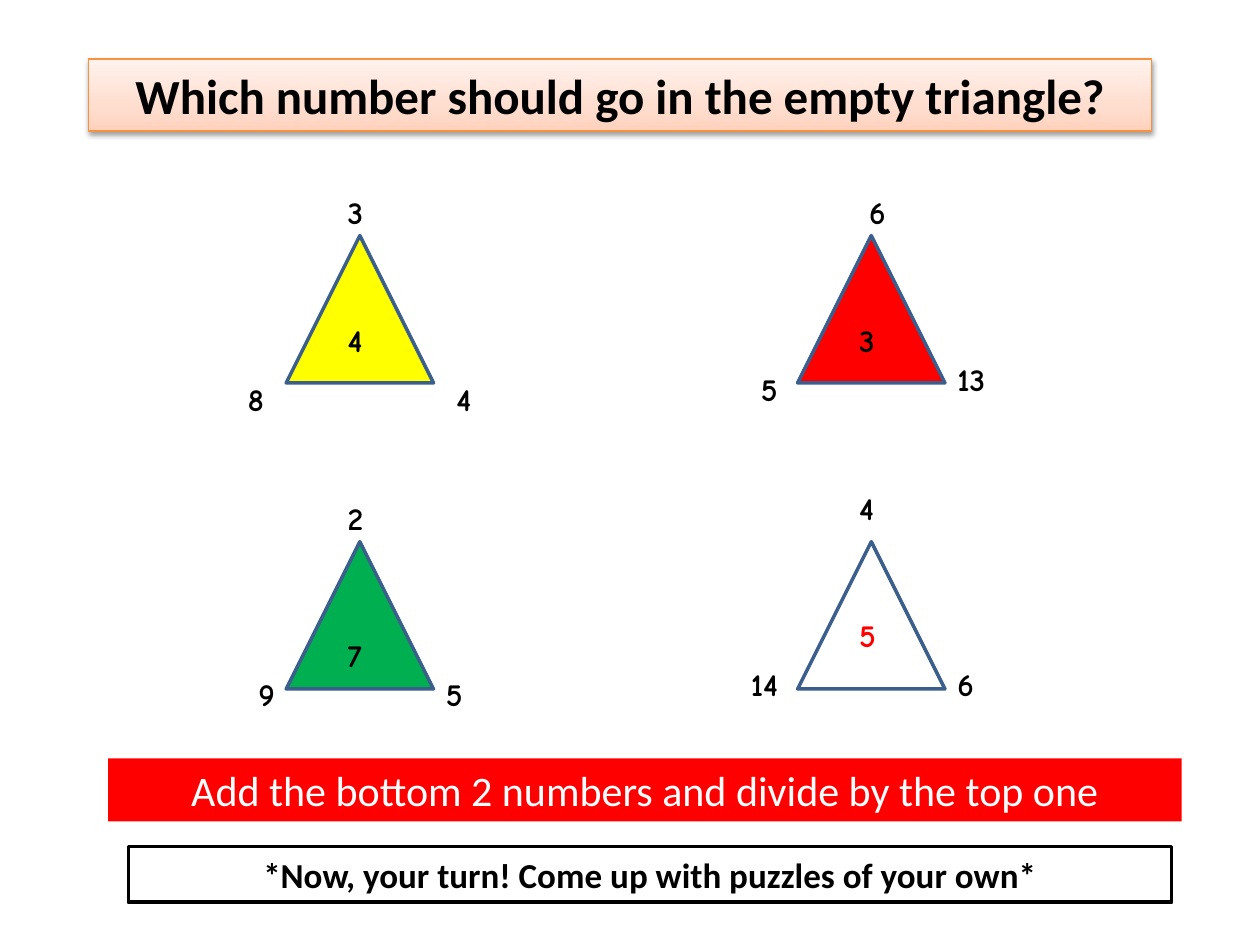
from dataclasses import dataclass

from lxml import etree
from pptx import Presentation
from pptx.dml.color import RGBColor
from pptx.enum.shapes import MSO_SHAPE
from pptx.enum.text import MSO_ANCHOR, MSO_AUTO_SIZE, PP_ALIGN
from pptx.oxml import parse_xml
from pptx.oxml.ns import nsdecls, qn
from pptx.util import Cm, Pt

RECT = MSO_SHAPE.RECTANGLE
PEAK = MSO_SHAPE.ISOSCELES_TRIANGLE
GROW = MSO_AUTO_SIZE.SHAPE_TO_FIT_TEXT
TOP, MID = MSO_ANCHOR.TOP, MSO_ANCHOR.MIDDLE
LEFT, CENTER = PP_ALIGN.LEFT, PP_ALIGN.CENTER


@dataclass(frozen=True)
class Theme:
    black: str = "000000"
    white: str = "FFFFFF"
    red: str = "FF0000"
    yellow: str = "FFFF00"
    green: str = "00B050"
    blue: str = "3A5F8C"
    orange: str = "F69240"
    peach: tuple = ((0, "FFD2BD"), (35, "FFDED0"), (100, "FFF2ED"))
    sans: str = "Calibri"
    comic: str = "Comic Neue"
    title: int = 28
    rule: int = 24
    task: int = 20
    digit: int = 18


class Deck:
    def __init__(self, theme):
        self.theme = theme
        self.file = Presentation()
        self.file.slide_width, self.file.slide_height = Cm(25.4), Cm(19.05)
        self.slide = self.file.slides.add_slide(self.file.slide_layouts[6])

    def shape(self, kind, spot, fill, line=None, width=2):
        item = self.slide.shapes.add_shape(kind, *map(Cm, spot))
        item.shadow.inherit = False
        item.fill.solid()
        item.fill.fore_color.rgb = RGBColor.from_string(fill)
        if line:
            item.line.color.rgb = RGBColor.from_string(line)
            item.line.width = Pt(width)
        else:
            item.line.fill.background()
        return item

    def label(self, item, text, size, color, face, bold=True, align=CENTER, anchor=MID):
        frame = item.text_frame
        part = frame.paragraphs[0]
        part.alignment = align
        run = part.add_run()
        run.text = text
        run.font.color.rgb = RGBColor.from_string(color)
        looks = (
            (frame, {"word_wrap": True, "auto_size": GROW, "vertical_anchor": anchor}),
            (run.font, {"name": face, "size": Pt(size), "bold": bold}),
        )
        for target, values in looks:
            for name, value in values.items():
                setattr(target, name, value)

    def bar(self, spot, text, size, color, fill, line=None, width=2, bold=True):
        item = self.shape(RECT, spot, fill, line, width)
        self.label(item, text, size, color, self.theme.sans, bold)
        return item

    def digit(self, left, top, width, text, color):
        item = self.slide.shapes.add_textbox(Cm(left), Cm(top), Cm(width), Cm(1.02))
        self.label(item, text, self.theme.digit, color, self.theme.comic,
                   align=LEFT, anchor=TOP)

    def puzzle(self, left, top, fill, digits, answer):
        self.shape(PEAK, (left, top, 2.97, 2.97), fill, self.theme.blue)
        colors = [self.theme.black] * 3 + [answer]
        for (text, right, down, width), color in zip(digits, colors):
            self.digit(left + right, top + down, width, text, color)

    def fade(self, item, stops):
        item.fill.gradient()
        item.fill.gradient_angle = 90
        ramp = item._element.spPr.find(".//" + qn("a:gsLst"))
        for old in list(ramp):
            ramp.remove(old)
        for spot, color in stops:
            stop = etree.SubElement(ramp, qn("a:gs"), pos=str(spot * 1000))
            etree.SubElement(stop, qn("a:srgbClr"), val=color)

    def shade(self, item):
        item._element.spPr.find(qn("a:effectLst")).append(parse_xml(
            f'<a:outerShdw {nsdecls("a")} blurRad="{Pt(3.1)}" dist="{Pt(1.6)}" '
            f'dir="5400000" rotWithShape="0"><a:srgbClr val="{self.theme.black}">'
            '<a:alpha val="38000"/></a:srgbClr></a:outerShdw>'))


def main():
    theme = Theme()
    deck = Deck(theme)
    title = deck.bar((1.78, 1.19, 21.44, 1.45),
                     "Which number should go in the empty triangle?",
                     theme.title, theme.black, theme.white, theme.orange, 0.75)
    deck.fade(title, theme.peach)
    deck.shade(title)

    puzzles = (
        (theme.yellow, theme.black,
         (("3", 0.99, -0.99, 0.79), ("8", -1.02, 2.79, 0.79),
          ("4", 3.18, 2.79, 1.19), ("4", 0.99, 1.6, 0.79))),
        (theme.red, theme.black,
         (("6", 1.19, -0.99, 1.19), ("5", -0.99, 2.59, 1.6),
          ("13", 2.97, 2.39, 1.4), ("3", 0.99, 1.6, 1.19))),
        (theme.green, theme.black,
         (("2", 0.99, -0.99, 1.78), ("9", -0.81, 2.57, 1.4),
          ("5", 2.97, 2.57, 1.19), ("7", 0.99, 1.78, 1.19))),
        (theme.white, theme.red,
         (("4", 0.99, -1.19, 1.19), ("14", -1.19, 2.36, 1.6),
          ("6", 2.97, 2.36, 1.6), ("5", 0.99, 1.37, 0.99))),
    )
    for index, (fill, answer, digits) in enumerate(puzzles):
        row, col = divmod(index, 2)
        deck.puzzle(5.77 + col * 10.31, 4.75 + row * 6.17, fill, digits, answer)

    deck.bar((2.18, 15.29, 21.64, 1.27),
             "Add the bottom 2 numbers and divide by the top one",
             theme.rule, theme.white, theme.red, bold=False)
    deck.bar((2.59, 17.07, 21.03, 1.12),
             "*Now, your turn! Come up with puzzles of your own*",
             theme.task, theme.black, theme.white, theme.black)
    deck.file.save("out.pptx")


if __name__ == "__main__":
    main()
